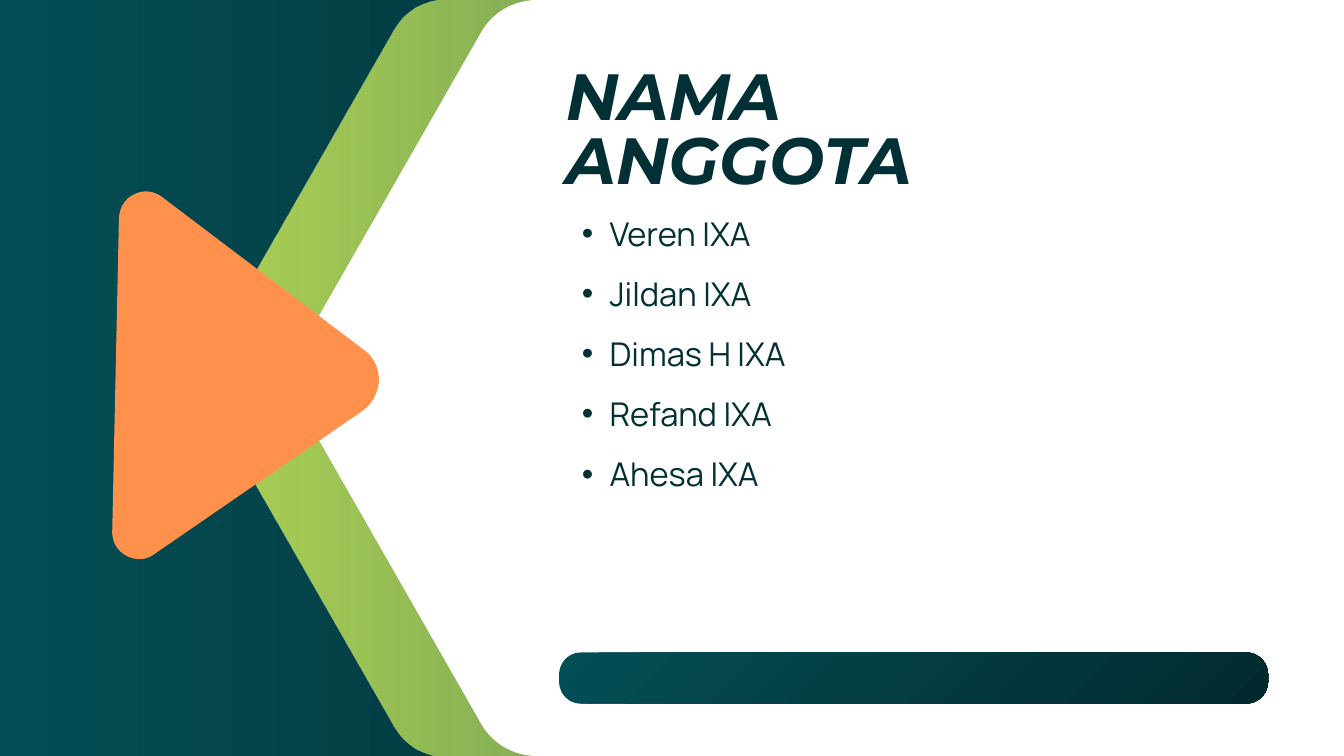
"""Build the member list slide."""
from lxml import etree
from pptx import Presentation
from pptx.dml.color import RGBColor
from pptx.enum.shapes import MSO_SHAPE
from pptx.enum.text import MSO_AUTO_SIZE, PP_ALIGN
from pptx.oxml.ns import qn
from pptx.util import Inches, Pt

ROUNDED = MSO_SHAPE.ROUNDED_RECTANGLE
GROW = MSO_AUTO_SIZE.SHAPE_TO_FIT_TEXT
JUSTIFY = PP_ALIGN.JUSTIFY

COLORS = {
    "teal": "034E55", "night": "01191B", "deep": "022A2E", "ink": "023034",
    "green": "AFD255", "lime": "D8FF72", "white": "FFFFFF", "orange": "FF914D",
}
TITLE = "NAMA ANGGOTA"
MEMBERS = ["Veren IXA", "Jildan IXA", "Dimas H IXA", "Refand IXA", "Ahesa IXA"]

GREEN_PANEL = [
    (6.65, 11.25), (19.47, 11.25), (19.76, 11.25, 20, 11.01, 20, 10.72),
    (20, 0.53), (20, 0.39, 19.94, 0.25, 19.85, 0.15), (19.75, 0.06, 19.61, 0, 19.47, 0),
    (6.65, 0), (6.32, 0, 6.02, 0.17, 5.86, 0.46),
    (3.16, 5.17), (3, 5.45, 3, 5.8, 3.16, 6.08),
    (5.86, 10.79), (6.02, 11.08, 6.32, 11.25, 6.65, 11.25),
]
WHITE_PANEL = [
    (7.99, 11.25), (19.99, 11.25), (20.14, 11.25, 20.28, 11.19, 20.38, 11.09),
    (20.49, 10.99, 20.54, 10.85, 20.54, 10.7), (20.54, 0.55),
    (20.54, 0.4, 20.49, 0.26, 20.38, 0.16), (20.28, 0.06, 20.14, 0, 19.99, 0),
    (7.99, 0), (7.65, 0, 7.33, 0.18, 7.16, 0.48),
    (4.49, 5.15), (4.32, 5.44, 4.32, 5.81, 4.49, 6.1),
    (7.16, 10.77), (7.33, 11.07, 7.65, 11.25, 7.99, 11.25),
]
ORANGE_TRIANGLE = [
    (5.4, 6.11), (2.29, 8.25), (2.17, 8.34, 2.01, 8.34, 1.88, 8.27),
    (1.75, 8.2, 1.67, 8.07, 1.67, 7.92), (1.77, 3.24),
    (1.78, 3.09, 1.86, 2.95, 2, 2.89), (2.13, 2.82, 2.29, 2.84, 2.41, 2.93),
    (5.42, 5.21), (5.56, 5.31, 5.64, 5.48, 5.64, 5.66),
    (5.63, 5.84, 5.54, 6.01, 5.4, 6.11),
]


def color(name):
    return RGBColor.from_string(COLORS[name])


def set_gradient(fill, first, last, angle=0):
    fill.gradient()
    fill.gradient_angle = angle
    for stop, name in zip(fill.gradient_stops, (first, last)):
        stop.color.rgb = color(name)


def add_outline(slide, outline):
    points = [
        (Inches(x), Inches(y))
        for step in outline
        for x, y in zip(step[::2], step[1::2])
    ]
    builder = slide.shapes.build_freeform(*points[0])
    builder.add_line_segments(points[1:], close=True)
    shape = builder.convert_to_shape()
    lines = iter(shape._element.xpath(".//a:path/a:lnTo"))
    for step in outline[1:]:
        line = next(lines)
        if len(step) == 6:
            line.tag = qn("a:cubicBezTo")
            for _ in range(2):
                extra = next(lines)
                line.append(extra[0])
                extra.getparent().remove(extra)
    shape.shadow.inherit = False
    shape.line.fill.background()
    return shape


def add_text_frame(slide, left, top, width, height):
    box = slide.shapes.add_textbox(Inches(left), Inches(top), Inches(width), Inches(height))
    frame = box.text_frame
    frame.word_wrap = True
    frame.auto_size = GROW
    frame.margin_left = frame.margin_right = frame.margin_top = frame.margin_bottom = 0
    return frame


def add_run(paragraph, text, font_name, size, spacing):
    paragraph.line_spacing = Pt(spacing)
    run = paragraph.add_run()
    run.text = text
    run.font.name = font_name
    run.font.size = Pt(size)
    run.font.color.rgb = color("ink")
    return run.font


def add_bullet(paragraph):
    paragraph.level = 1
    paragraph.alignment = JUSTIFY
    properties = paragraph._p.get_or_add_pPr()
    properties.set("marL", str(Inches(0.83)))
    properties.set("indent", str(Inches(-0.41)))
    etree.SubElement(properties, qn("a:buFont")).set("typeface", "Arial")
    etree.SubElement(properties, qn("a:buChar")).set("char", "•")


def main():
    presentation = Presentation()
    presentation.slide_width = Inches(20)
    presentation.slide_height = Inches(11.25)
    slide = presentation.slides.add_slide(presentation.slide_layouts[6])
    set_gradient(slide.background.fill, "teal", "night")

    green_panel = add_outline(slide, GREEN_PANEL)
    set_gradient(green_panel.fill, "green", "lime")
    last_color = green_panel._element.xpath(".//a:gs/a:srgbClr")[-1]
    etree.SubElement(last_color, qn("a:alpha")).set("val", "0")

    for outline, name in ((WHITE_PANEL, "white"), (ORANGE_TRIANGLE, "orange")):
        shape = add_outline(slide, outline)
        shape.fill.solid()
        shape.fill.fore_color.rgb = color(name)

    bar = slide.shapes.add_shape(ROUNDED, Inches(8.32), Inches(9.71), Inches(10.55), Inches(0.76))
    bar.adjustments[0] = 0.43
    bar.shadow.inherit = False
    bar.line.fill.background()
    set_gradient(bar.fill, "teal", "deep", 315)

    title = add_text_frame(slide, 8.42, 1.02, 7.93, 1.98)
    font = add_run(title.paragraphs[0], TITLE, "Montserrat", 70, 69.3)
    font.bold = font.italic = True

    members = add_text_frame(slide, 8.24, 2.87, 9.31, 5.27)
    for index, member in enumerate(MEMBERS):
        paragraph = members.add_paragraph() if index else members.paragraphs[0]
        add_run(paragraph, member, "Manrope", 35, 64.4)
        add_bullet(paragraph)

    presentation.save("out.pptx")


if __name__ == "__main__":
    main()
